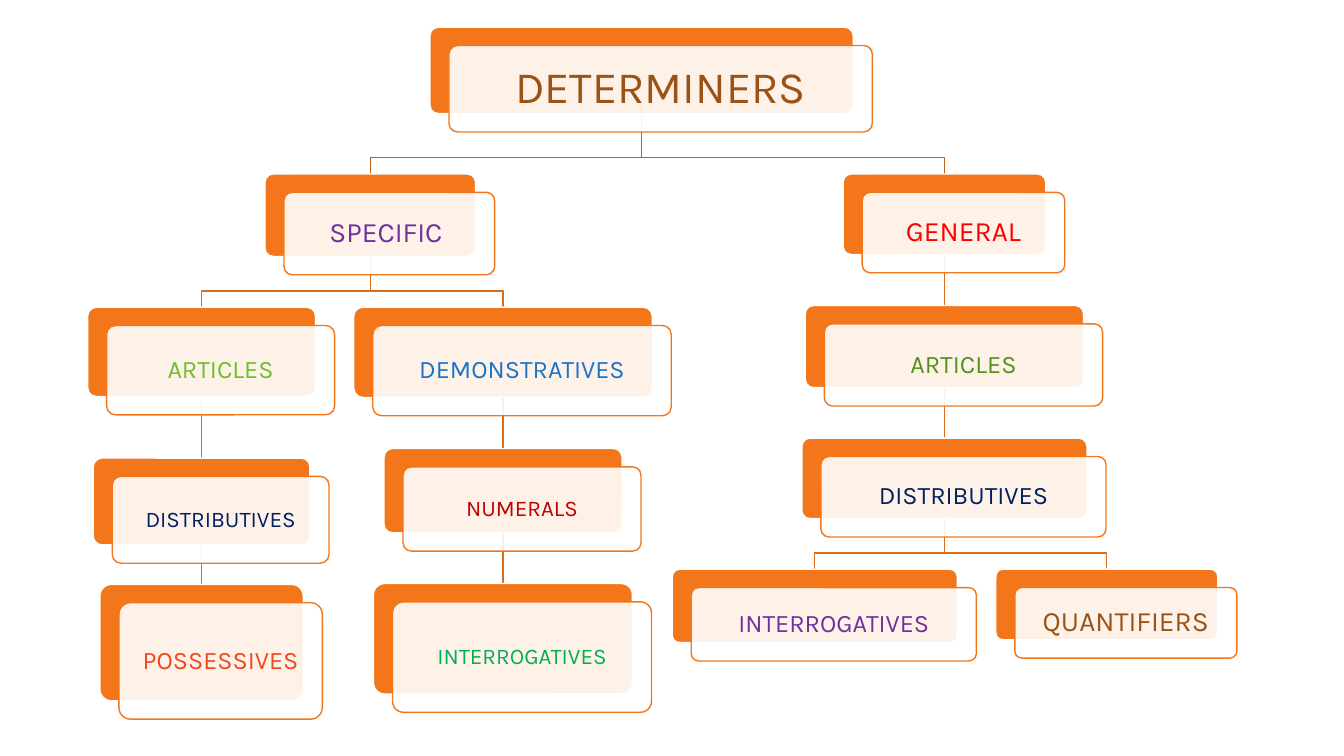
from dataclasses import dataclass

import lxml.etree
import pptx
import pptx.dml.color
import pptx.enum.shapes
import pptx.enum.text
import pptx.oxml.ns
import pptx.util

Pt = pptx.util.Pt
RGB = pptx.dml.color.RGBColor.from_string


@dataclass(frozen=True)
class Theme:
    font: str = "Karla"
    orange: str = "F3771A"
    white: str = "FFFFFF"
    top_link: str = "C35F15"
    link: str = "DD6C18"
    brown: str = "9A5315"
    purple: str = "7030A0"
    red: str = "FF0000"
    dark_red: str = "C00000"
    vermilion: str = "F1471F"
    lime: str = "6DC025"
    olive: str = "52901C"
    green: str = "00B050"
    blue: str = "1A72CB"
    navy: str = "002060"
    title: int = 32
    large: int = 20
    medium: int = 18
    small: int = 16


THEME = Theme()
SHIFT_X, SHIFT_Y = 13.6, 13.1   # front card relative to back card
BEND = 11.6                     # height of a fork above the lower cards
CORNER = 0.1
INSET = 5


@dataclass(frozen=True)
class Term:
    label: str
    box: tuple      # centre x, top, width, height of the back card
    size: int
    color: str
    children: tuple = ()


# Branch of specific determiners
SPECIFIC = Term("SPECIFIC ", (264.5, 124.3, 150.5, 58.9), THEME.large, THEME.purple, (
    Term("ARTICLES", (144, 219.4, 162.9, 63.8), THEME.medium, THEME.lime, (
        Term("DISTRIBUTIVES", (144, 327.2, 154.8, 62), THEME.small, THEME.navy, (
            Term("POSSESSIVES", (144, 417.4, 145.3, 83.2), THEME.medium, THEME.vermilion),
        )),
    )),
    Term("DEMONSTRATIVES", (359.3, 219.4, 213.2, 64.5), THEME.medium, THEME.blue, (
        Term("NUMERALS", (359.3, 320.4, 170, 60.2), THEME.small, THEME.dark_red, (
            Term("INTERROGATIVES", (359.3, 416.8, 185, 78.9), THEME.small, THEME.green),
        )),
    )),
))

# Branch of general determiners
GENERAL = Term("GENERAL", (674.6, 124.3, 144.7, 57.5), THEME.large, THEME.red, (
    Term("ARTICLES", (674.6, 218.2, 198.8, 58.7), THEME.medium, THEME.olive, (
        Term("DISTRIBUTIVES", (674.6, 313, 203.6, 57.5), THEME.medium, THEME.navy, (
            Term("INTERROGATIVES", (582, 406.6, 203.6, 52.4), THEME.medium, THEME.purple),
            Term("QUANTIFIERS", (790.6, 406.6, 158.6, 50.4), THEME.large, THEME.brown),
        )),
    )),
))

DETERMINERS = Term("DETERMINERS", (458.3, 19.4, 302.4, 61.8), THEME.title, THEME.brown,
                   (SPECIFIC, GENERAL))


def draw_link(slide, parent, child, color):
    """Straight line to a card below, or a bent line to one at the side."""
    start_x, top, _, height = parent.box
    start_y = top + height
    end_x, end_y = child.box[:2]
    if start_x == end_x:
        link = slide.shapes.add_connector(
            pptx.enum.shapes.MSO_CONNECTOR.STRAIGHT,
            Pt(start_x), Pt(start_y), Pt(end_x), Pt(end_y))
        properties = link._element.find(pptx.oxml.ns.qn("p:spPr"))
        lxml.etree.SubElement(properties, pptx.oxml.ns.qn("a:effectLst"))
    else:
        bend_y = end_y - BEND
        route = slide.shapes.build_freeform(Pt(start_x), Pt(start_y))
        route.add_line_segments(
            [(Pt(x), Pt(y)) for x, y in ((start_x, bend_y), (end_x, bend_y), (end_x, end_y))],
            close=False)
        link = route.convert_to_shape()
        link.fill.background()
        link.shadow.inherit = False
    link.line.color.rgb = RGB(color)
    link.line.width = Pt(1)


def draw_links(slide, term, color):
    for child in term.children:
        draw_link(slide, term, child, color)
        draw_links(slide, child, THEME.link)


def draw_card(slide, left, top, width, height, fill, outline):
    card = slide.shapes.add_shape(
        pptx.enum.shapes.MSO_SHAPE.ROUNDED_RECTANGLE,
        Pt(left), Pt(top), Pt(width), Pt(height))
    card.adjustments[0] = CORNER
    card.shadow.inherit = False
    card.fill.solid()
    card.fill.fore_color.rgb = RGB(fill)
    card.line.color.rgb = RGB(outline)
    card.line.width = Pt(1)
    return card


def draw_term(slide, term):
    """Orange back card with a translucent, labelled card in front."""
    center, top, width, height = term.box
    left = center - width / 2
    draw_card(slide, left, top, width, height, THEME.orange, THEME.white)
    front = draw_card(slide, left + SHIFT_X, top + SHIFT_Y, width, height,
                      THEME.white, THEME.orange)
    tint = front._element.spPr.find(
        pptx.oxml.ns.qn("a:solidFill")).find(pptx.oxml.ns.qn("a:srgbClr"))
    lxml.etree.SubElement(tint, pptx.oxml.ns.qn("a:alpha"), val="90000")

    # Label
    frame = front.text_frame
    frame.text = term.label
    frame.word_wrap = True
    frame.vertical_anchor = pptx.enum.text.MSO_ANCHOR.MIDDLE
    frame.margin_left = frame.margin_right = Pt(INSET)
    frame.margin_top = frame.margin_bottom = Pt(INSET)
    label = frame.paragraphs[0]
    label.alignment = pptx.enum.text.PP_ALIGN.CENTER
    label.line_spacing = 0.9
    font = label.runs[0].font
    font.name = THEME.font
    font.size = Pt(term.size)
    font.color.rgb = RGB(term.color)


def draw_terms(slide, term):
    draw_term(slide, term)
    for child in term.children:
        draw_terms(slide, child)


def main():
    deck = pptx.Presentation()
    deck.slide_width, deck.slide_height = Pt(960), Pt(540)
    slide = deck.slides.add_slide(deck.slide_layouts[6])
    # Links lie behind all cards
    draw_links(slide, DETERMINERS, THEME.top_link)
    draw_terms(slide, DETERMINERS)
    deck.save("out.pptx")


if __name__ == "__main__":
    main()
